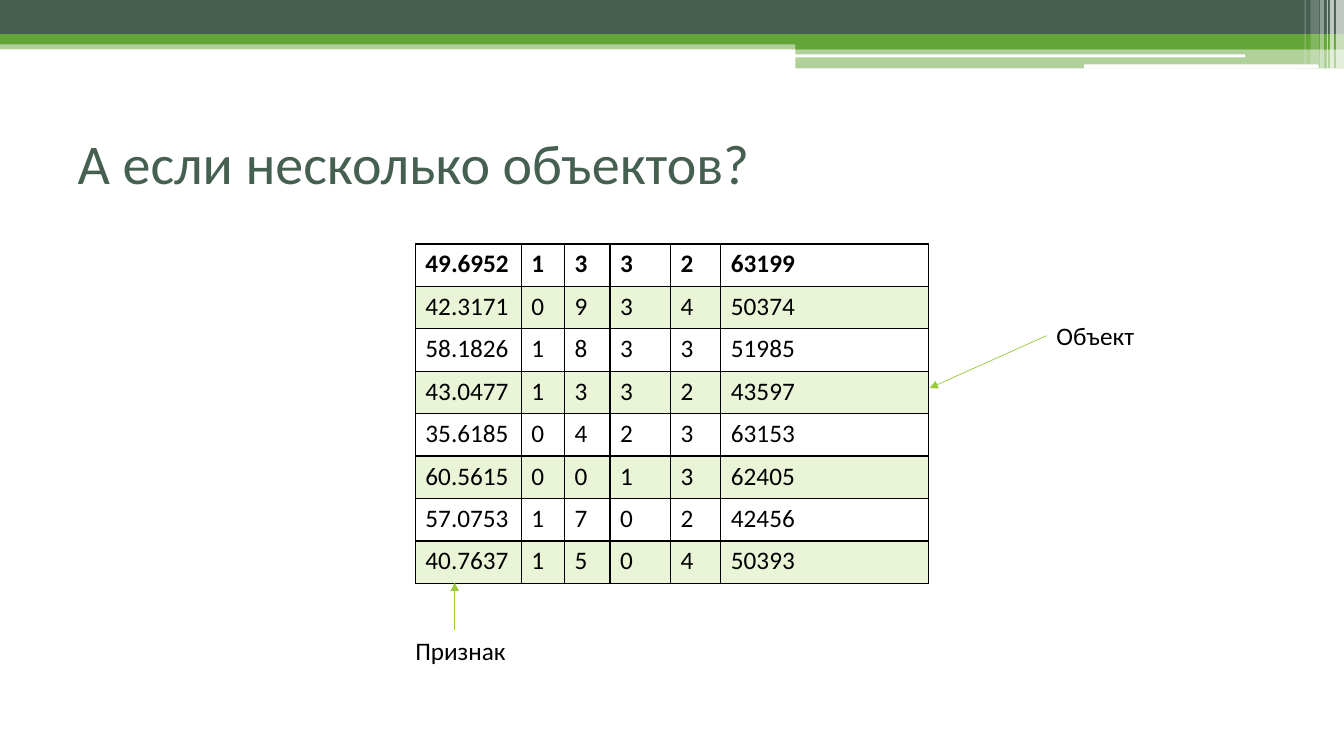
from pptx import Presentation
from pptx.util import Inches, Pt
from pptx.dml.color import RGBColor
from pptx.enum.shapes import MSO_SHAPE as Form, MSO_CONNECTOR as Link
from pptx.enum.text import MSO_ANCHOR as Anchor, PP_ALIGN as Align
from pptx.oxml.ns import qn
from lxml.etree import SubElement as Sub


def paint(fill, tone, alpha=100):
    fill.solid()
    fill.fore_color.rgb = RGBColor.from_string(tone)
    if alpha < 100:
        color = fill._xPr.find(qn("a:solidFill"))[0]
        Sub(color, qn("a:alpha"), val=str(alpha * 1000))


def write(frame, text, size=18, tone="000000", bold=False, anchor=Anchor.TOP, wrap=True):
    frame.word_wrap = wrap
    frame.vertical_anchor = anchor
    line = frame.paragraphs[0]
    line.alignment = Align.LEFT
    run = line.add_run()
    run.text = text
    run.font.name = "Calibri"
    run.font.size = Pt(size)
    run.font.bold = bold
    paint(run.font.fill, tone)


DARK, GREEN, LIME, WHITE = "455F51", "63A537", "99CB38", "FFFFFF"

deck = Presentation()
deck.slide_width, deck.slide_height = Inches(13.33), Inches(7.5)
slide = deck.slides.add_slide(deck.slide_layouts[5])
paint(slide.background.fill, WHITE)
shapes = slide.shapes

bars = [
    (Form.RECTANGLE, 0, 0.4, 13.33, 0.09, GREEN, 50),
    (Form.RECTANGLE, 0, 0, 13.33, 0.34, DARK, 100),
    (Form.RECTANGLE, 0, 0.34, 13.33, 0.1, GREEN, 100),
    (Form.RECTANGLE, 7.89, 0.39, 5.44, 0.1, GREEN, 100),
    (Form.RECTANGLE, 7.89, 0.48, 5.44, 0.2, GREEN, 50),
    (Form.ROUNDED_RECTANGLE, 7.88, 0.54, 4.47, 0.03, WHITE, 100),
    (Form.ROUNDED_RECTANGLE, 10.75, 0.64, 2.33, 0.04, WHITE, 100),
]
stripes = [
    (13.25, 0.08, 0.68, 65), (13.19, 0.04, 0.68, 65), (13.16, 0.01, 0.68, 60),
    (13.09, 0.04, 0.68, 40), (13, 0.08, 0.64, 20), (12.94, 0.01, 0.64, 30),
]
bars += [(Form.RECTANGLE, x, 0, w, h, WHITE, alpha) for x, w, h, alpha in stripes]
for form, x, y, w, h, tone, alpha in bars:
    bar = shapes.add_shape(form, Inches(x), Inches(y), Inches(w), Inches(h))
    bar.shadow.inherit = False
    bar.line.fill.background()
    paint(bar.fill, tone, alpha)

title = shapes.title
title.left, title.top = Inches(0.67), Inches(1.02)
title.width, title.height = Inches(12), Inches(1.17)
write(title.text_frame, "А если несколько объектов?", size=40, tone=DARK, anchor=Anchor.MIDDLE)

rows = [
    ("49.6952", "1", "3", "3", "2", "63199"),
    ("42.3171", "0", "9", "3", "4", "50374"),
    ("58.1826", "1", "8", "3", "3", "51985"),
    ("43.0477", "1", "3", "3", "2", "43597"),
    ("35.6185", "0", "4", "2", "3", "63153"),
    ("60.5615", "0", "0", "1", "3", "62405"),
    ("57.0753", "1", "7", "0", "2", "42456"),
    ("40.7637", "1", "5", "0", "4", "50393"),
]
widths = [1.05, 0.43, 0.45, 0.6, 0.5, 2.06]
table = shapes.add_table(len(rows), len(widths), Inches(4.12), Inches(2.42),
                         Inches(sum(widths)), Inches(3.37)).table
table.first_row = table.horz_banding = False
for col, width in zip(table.columns, widths):
    col.width = Inches(width)
for r, row in enumerate(rows):
    for c, text in enumerate(row):
        cell = table.cell(r, c)
        write(cell.text_frame, text, bold=r == 0)
        props = cell._tc.get_or_add_tcPr()
        for side in ("a:lnL", "a:lnR", "a:lnT", "a:lnB"):
            edge = Sub(props, qn(side), w=str(Pt(1)))
            Sub(Sub(edge, qn("a:solidFill")), qn("a:srgbClr"), val="000000")
        if r % 2:
            paint(cell.fill, LIME, 20)
        else:
            cell.fill.background()

notes = [
    ("Объект", 10.38, 3.13, 0.98, (10.38, 3.33, 9.22, 3.85)),
    ("Признак", 4.02, 6.25, 1.11, (4.51, 6.25, 4.51, 5.78)),
]
for text, x, y, w, ends in notes:
    arrow = shapes.add_connector(Link.STRAIGHT, *map(Inches, ends))
    arrow.line.width = Pt(0.5)
    paint(arrow.line.fill, LIME)
    Sub(arrow.line._get_or_add_ln(), qn("a:tailEnd"), type="triangle")
    Sub(arrow._element.spPr, qn("a:effectLst"))
    label = shapes.add_textbox(Inches(x), Inches(y), Inches(w), Inches(0.4))
    write(label.text_frame, text, wrap=False)

deck.save("out.pptx")
